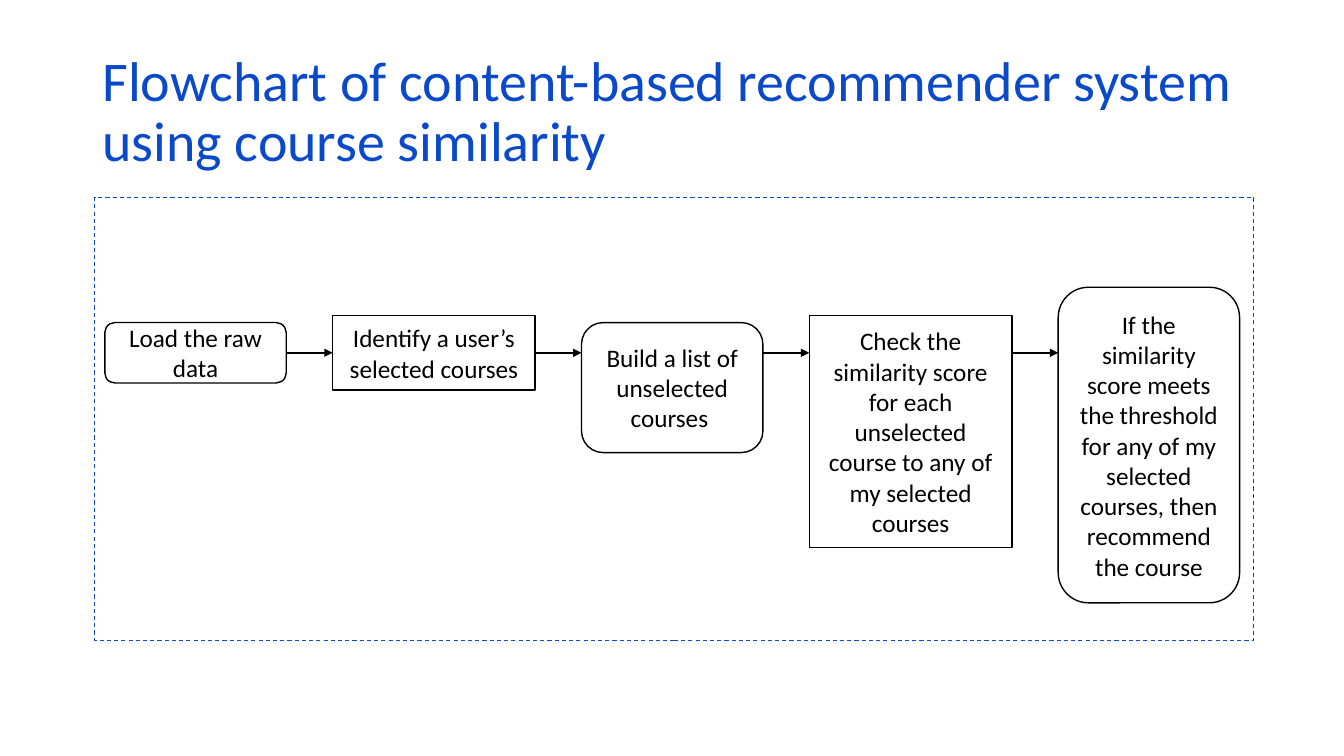
from dataclasses import dataclass

from lxml import etree
from pptx import Presentation
from pptx.dml.color import RGBColor
from pptx.enum import dml, shapes, text
from pptx.oxml import ns
from pptx.util import Pt


@dataclass(frozen=True)
class Theme:
    """Colours, font and type sizes of the slide."""
    blue: RGBColor = RGBColor(0x0B, 0x49, 0xCB)
    ink: RGBColor = RGBColor(0, 0, 0)
    paper: RGBColor = RGBColor(255, 255, 255)
    font: str = "Calibri"
    head: int = 40
    body: int = 18


THEME = Theme()
RECT = shapes.MSO_SHAPE.RECTANGLE
ROUND = shapes.MSO_SHAPE.ROUNDED_RECTANGLE
WIDTH = {RECT: 144.7, ROUND: 129.6}
LEFT, GAP, FLOW = 74.9, 33.1, 252
STEPS = [
    (ROUND, 230.4, 43.2, "Load the raw data"),
    (RECT, 225.4, 53.2, "Identify a user’s selected courses"),
    (ROUND, 230.4, 92.9, "Build a list of unselected courses "),
    (RECT, 225.4, 165.6,
     "Check the similarity score for each unselected course "
     "to any of my selected courses"),
    (ROUND, 205.2, 225.4,
     "If the similarity score meets the threshold for any of my "
     "selected courses, then recommend the course"),
]


def add_run(par, words, size, color):
    """Add one styled run to a paragraph."""
    run = par.add_run()
    run.text = words
    run.font.name = THEME.font
    run.font.size = Pt(size)
    run.font.color.rgb = color


def add_title(slide, words):
    """Place and fill the title placeholder."""
    title = slide.shapes.title
    title.left, title.top = Pt(66), Pt(28.8)
    title.width, title.height = Pt(828), Pt(104.4)
    frame = title.text_frame
    frame.word_wrap = True
    frame.auto_size = text.MSO_AUTO_SIZE.NONE
    frame.vertical_anchor = text.MSO_ANCHOR.MIDDLE
    par = frame.paragraphs[0]
    par.alignment = text.PP_ALIGN.LEFT
    par.line_spacing = 0.9
    add_run(par, words, THEME.head, THEME.blue)


def add_box(slide, kind, left, top, width, height, color, weight):
    """Add an unfilled outlined shape."""
    box = slide.shapes.add_shape(kind, Pt(left), Pt(top), Pt(width), Pt(height))
    box.shadow.inherit = False
    box.fill.background()
    box.line.color.rgb = color
    box.line.width = Pt(weight)
    return box


def add_step(slide, kind, left, top, height, words):
    """Add one labelled step of the flow."""
    box = add_box(slide, kind, left, top, WIDTH[kind], height, THEME.ink, 1)
    if kind == RECT:
        box.fill.solid()
        box.fill.fore_color.rgb = THEME.paper
    frame = box.text_frame
    frame.word_wrap = True
    frame.vertical_anchor = text.MSO_ANCHOR.MIDDLE
    par = frame.paragraphs[0]
    par.alignment = text.PP_ALIGN.CENTER
    add_run(par, words, THEME.body, THEME.ink)
    return box


def on_flow(box):
    """Tell whether the arrows meet the middle of a box's sides."""
    return abs(box.top + box.height / 2 - Pt(FLOW)) < Pt(1)


def add_arrow(slide, start, end):
    """Draw an arrow between two neighbouring steps."""
    line = slide.shapes.add_connector(
        shapes.MSO_CONNECTOR.STRAIGHT,
        start.left + start.width, Pt(FLOW), end.left, Pt(FLOW))
    if on_flow(start):
        line.begin_connect(start, 3)
    if on_flow(end):
        line.end_connect(end, 1)
    line.line.color.rgb = THEME.ink
    line.line.width = Pt(1.25)
    etree.SubElement(line.line._get_or_add_ln(), ns.qn("a:tailEnd"), type="triangle")
    etree.SubElement(line._element.spPr, ns.qn("a:effectLst"))


def main():
    """Build the flowchart slide and save it."""
    deck = Presentation()
    deck.slide_width, deck.slide_height = Pt(960), Pt(540)
    slide = deck.slides.add_slide(deck.slide_layouts[5])
    add_title(slide, "Flowchart of content-based recommender system "
                     "using course similarity")
    frame = add_box(slide, RECT, 67.7, 141.1, 828, 316.1, THEME.blue, 0.75)
    frame.line.dash_style = dml.MSO_LINE.DASH
    boxes, left = [], LEFT
    for kind, top, height, words in STEPS:
        boxes.append(add_step(slide, kind, left, top, height, words))
        left += WIDTH[kind] + GAP
    for start, end in zip(boxes, boxes[1:]):
        add_arrow(slide, start, end)
    deck.save("out.pptx")


if __name__ == "__main__":
    main()
